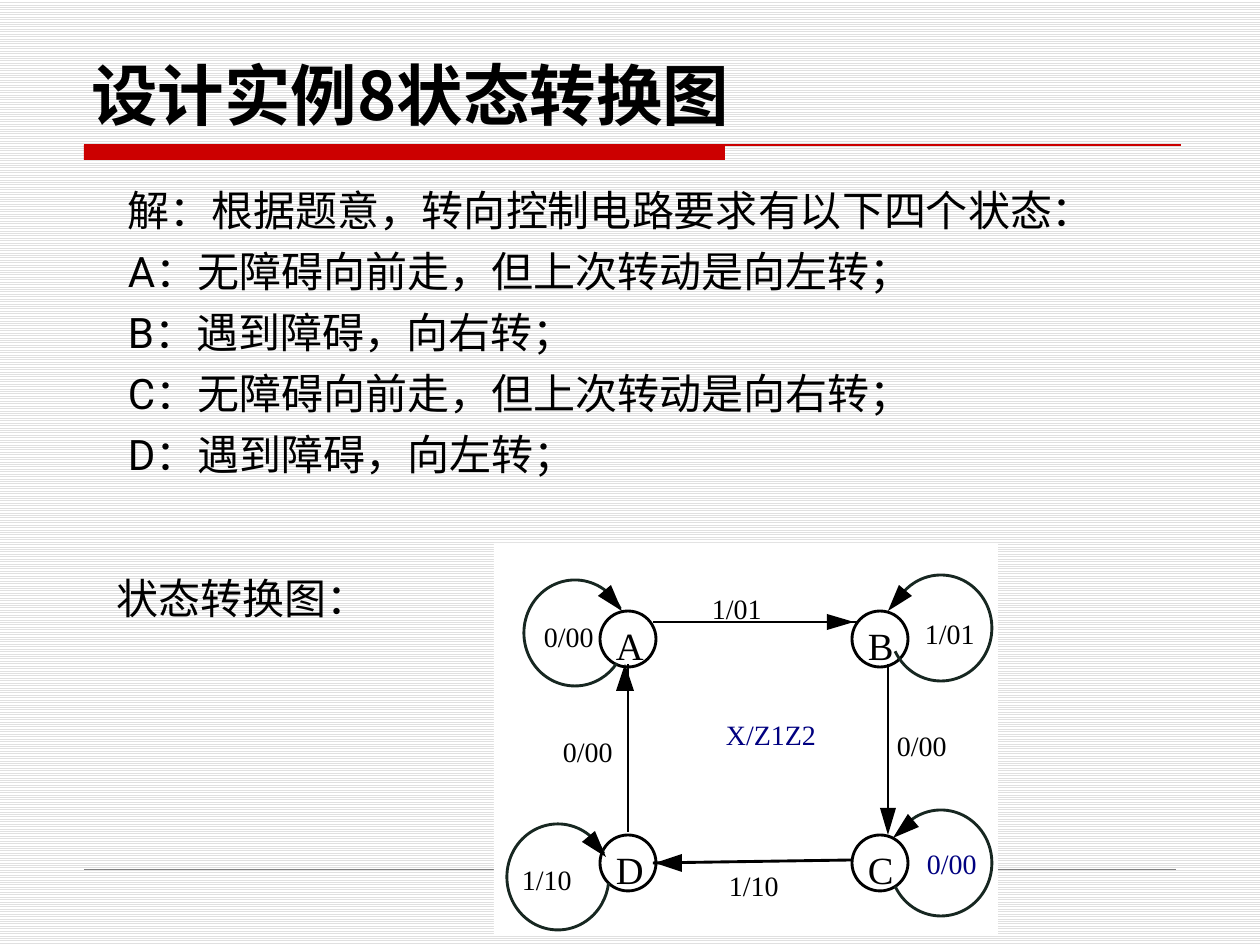
from math import cos, radians, sin

from lxml.etree import SubElement
from pptx import Presentation
from pptx.dml.color import RGBColor
from pptx.enum.dml import MSO_PATTERN
from pptx.enum.shapes import MSO_CONNECTOR, MSO_SHAPE
from pptx.enum.text import MSO_ANCHOR
from pptx.oxml.ns import qn
from pptx.util import Pt

PX = 914400 // 126
SERIF, SANS, CJK = "Times New Roman", "Roboto", "Noto Sans CJK SC"
BLACK, WHITE, RED, NAVY, GRAY, LOOP = "000000", "FFFFFF", "CC0000", "000080", "808080", "172721"
STROKE = 1.63
NODE = 56
HEAD_LENGTH, HEAD_WIDTH = 27, 17
LOOP_RX, LOOP_RY = 51, 53


def rgb(value):
    return RGBColor.from_string(value)


def paint(shape, fill=None, line=None):
    shape.shadow.inherit = False
    if fill:
        shape.fill.solid()
        shape.fill.fore_color.rgb = rgb(fill)
    else:
        shape.fill.background()
    if line:
        shape.line.color.rgb = rgb(line)
        shape.line.width = Pt(STROKE)
    else:
        shape.line.fill.background()


def add_preset(slide, kind, x, y, w, h, fill=None, line=None):
    shape = slide.shapes.add_shape(kind, x * PX, y * PX, w * PX, h * PX)
    paint(shape, fill, line)
    return shape


def add_text(slide, x, y, w, h, lines, size, font, color=BLACK, bold=False,
             inset=0, wrap=False, anchor=MSO_ANCHOR.TOP, gap=0):
    frame = slide.shapes.add_textbox(x * PX, y * PX, w * PX, h * PX).text_frame
    frame.word_wrap = wrap
    frame.vertical_anchor = anchor
    frame.margin_left = frame.margin_right = 2 * inset * PX
    frame.margin_top = frame.margin_bottom = inset * PX
    for index, line in enumerate(lines):
        paragraph = frame.add_paragraph() if index else frame.paragraphs[0]
        if index:
            paragraph.space_before = Pt(gap)
        run = paragraph.add_run()
        run.text = line
        run.font.size = Pt(size)
        run.font.bold = bold
        run.font.name = font
        run.font.color.rgb = rgb(color)
        SubElement(run.font._element, qn("a:ea")).set("typeface", CJK)


def add_line(slide, start, end, color=BLACK, width=STROKE):
    x1, y1, x2, y2 = (value * PX for value in (*start, *end))
    line = slide.shapes.add_connector(MSO_CONNECTOR.STRAIGHT, x1, y1, x2, y2)
    line.line.color.rgb = rgb(color)
    line.line.width = Pt(width)
    SubElement(line._element.spPr, qn("a:effectLst"))


def add_head(slide, tip, angle):
    x, y = tip
    dx, dy = cos(radians(angle)), sin(radians(angle))
    base_x, base_y = x - HEAD_LENGTH * dx, y - HEAD_LENGTH * dy
    half = HEAD_WIDTH / 2
    corners = [(base_x - half * dy, base_y + half * dx),
               (base_x + half * dy, base_y - half * dx)]
    builder = slide.shapes.build_freeform(x, y, scale=PX)
    builder.add_line_segments(corners, close=True)
    paint(builder.convert_to_shape(), BLACK)


def add_state(slide, name, x, y):
    add_preset(slide, MSO_SHAPE.OVAL, x, y, NODE, NODE, WHITE, BLACK)
    add_text(slide, x + 16, y + 11, 28, 47, [name], 22, SERIF)


def add_loop(slide, center, start, end, tip, angle):
    x, y = center
    arc = add_preset(slide, MSO_SHAPE.ARC, x - LOOP_RX, y - LOOP_RY,
                     2 * LOOP_RX, 2 * LOOP_RY, line=LOOP)
    arc.adjustments[0] = start * 0.6
    arc.adjustments[1] = end * 0.6
    add_head(slide, tip, angle)


def add_transition(slide, start, end, tip, angle):
    add_line(slide, start, end)
    add_head(slide, tip, angle)


def add_diagram(slide):
    add_preset(slide, MSO_SHAPE.RECTANGLE, 494, 543, 504, 392, WHITE)

    left, right, top, bottom = 600, 852, 611, 835
    for name, x, y in [("A", left, top), ("B", right, top),
                       ("C", right, bottom), ("D", left, bottom)]:
        add_state(slide, name, x, y)

    for transition in [((653, 622), (858, 622), (854, 622), 0),
                       ((888, 664), (888, 832), (888, 835), 90),
                       ((852, 860), (653, 863), (655, 863), 180),
                       ((628, 832), (628, 664), (625, 664), 270)]:
        add_transition(slide, *transition)

    for loop in [((575, 633), 36, 332, (622, 611), 49),
                 ((941, 628), 217, 153, (888, 611), 131),
                 ((941, 863), 217, 153, (893, 838), 140),
                 ((558, 877), 7, 333, (606, 857), 49)]:
        add_loop(slide, *loop)

    for label, x, y, color in [("1/01", 712, 592, BLACK), ("0/00", 897, 729, BLACK),
                               ("1/10", 729, 869, BLACK), ("0/00", 563, 735, BLACK),
                               ("0/00", 544, 620, BLACK), ("1/01", 925, 617, BLACK),
                               ("0/00", 927, 847, NAVY), ("1/10", 522, 863, BLACK),
                               ("X/Z1Z2", 726, 718, NAVY)]:
        add_text(slide, x, y, 15 * len(label), 34, [label], 16, SERIF, color)


def main():
    deck = Presentation()
    deck.slide_width, deck.slide_height = 1260 * PX, 945 * PX
    slide = deck.slides.add_slide(deck.slide_layouts[6])
    background = slide.background.fill
    background.patterned()
    background.pattern = MSO_PATTERN.LIGHT_HORIZONTAL
    background.fore_color.rgb = rgb("E0E0E0")
    background.back_color.rgb = rgb(WHITE)

    add_preset(slide, MSO_SHAPE.RECTANGLE, 84, 145, 641, 15, RED)
    add_line(slide, (84, 145), (1181, 145), RED, 0.75)
    add_line(slide, (84, 869), (1176, 869), GRAY, 0.25)
    add_text(slide, 79, 35, 1103, 105, ["设计实例8状态转换图"], 38, CJK, bold=True,
             inset=6, wrap=True, anchor=MSO_ANCHOR.BOTTOM)
    add_diagram(slide)
    add_text(slide, 105, 567, 277, 63, ["状态转换图："], 24, SERIF, inset=6)
    add_text(slide, 116, 179, 976, 365,
             ["解：根据题意，转向控制电路要求有以下四个状态：",
              "A：无障碍向前走，但上次转动是向左转；",
              "B：遇到障碍，向右转；",
              "C：无障碍向前走，但上次转动是向右转；",
              "D：遇到障碍，向左转；"],
             24, SANS, inset=6, wrap=True, gap=6)
    deck.save("out.pptx")


if __name__ == "__main__":
    main()
